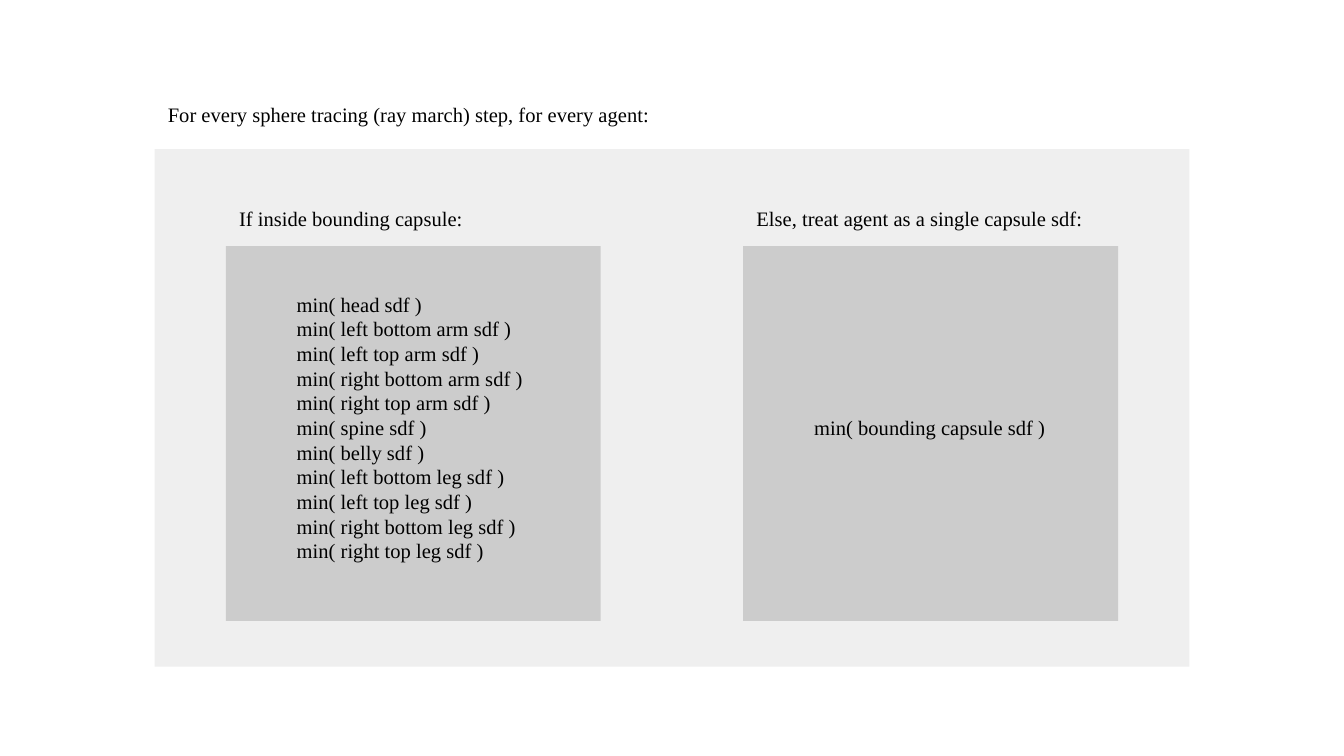
"""Build a slide on bounding capsule branching in sphere tracing."""
from pptx import Presentation
from pptx.dml.color import RGBColor
from pptx.enum.shapes import MSO_SHAPE
from pptx.enum.text import MSO_ANCHOR
from pptx.util import Pt

RECTANGLE = MSO_SHAPE.RECTANGLE
TOP, MIDDLE = MSO_ANCHOR.TOP, MSO_ANCHOR.MIDDLE
BLACK = RGBColor(0x00, 0x00, 0x00)
PANEL_GREY = RGBColor(0xEF, 0xEF, 0xEF)
CARD_GREY = RGBColor(0xCC, 0xCC, 0xCC)

HEADING = "For every sphere tracing (ray march) step, for every agent:"
BRANCHES = [
    {
        "caption": "If inside bounding capsule:",
        "caption_width": 135.4,
        "steps": [
            "min( head sdf )",
            "min( left bottom arm sdf )",
            "min( left top arm sdf )",
            "min( right bottom arm sdf )",
            "min( right top arm sdf )",
            "min( spine sdf )",
            "min( belly sdf )",
            "min( left bottom leg sdf )",
            "min( left top leg sdf )",
            "min( right bottom leg sdf )",
            "min( right top leg sdf )",
        ],
    },
    {
        "caption": "Else, treat agent as a single capsule sdf:",
        "caption_width": 200.9,
        "steps": ["min( bounding capsule sdf )"],
    },
]

FONT = {"name": "Times New Roman", "size": Pt(11)}
INSET = Pt(7.2)
FRAME = {
    "word_wrap": True,
    "margin_left": INSET,
    "margin_right": INSET,
    "margin_top": INSET,
    "margin_bottom": INSET,
}
PANEL_LEFT, PANEL_TOP, PANEL_SIZE = 82.8, 79.9, 277.2
CARD_SIZE, CARD_TOP = 200.9, 131.8
CARD_INDENT = (PANEL_SIZE - CARD_SIZE) / 2
STEPS_WIDTH, STEPS_TOP, STEPS_HEIGHT = 139, 149, 160
STEPS_INDENT = (CARD_SIZE - STEPS_WIDTH) / 2
HEADING_TOP, CAPTION_TOP, LABEL_HEIGHT = 48.2, 103.7, 37.4


def add_square(shapes, left, top, size, colour):
    square = shapes.add_shape(RECTANGLE, Pt(left), Pt(top), Pt(size), Pt(size))
    square.shadow.inherit = False
    square.fill.solid()
    square.fill.fore_color.rgb = colour
    square.line.fill.background()


def add_text(shapes, lines, left, top, width, height, anchor=TOP):
    box = shapes.add_textbox(Pt(left), Pt(top), Pt(width), Pt(height))
    frame = box.text_frame
    for name, value in FRAME.items():
        setattr(frame, name, value)
    frame.vertical_anchor = anchor
    frame.text = "\n".join(lines)
    for para in frame.paragraphs:
        for span in para.runs:
            for name, value in FONT.items():
                setattr(span.font, name, value)
            span.font.color.rgb = BLACK


def main():
    deck = Presentation()
    deck.slide_width, deck.slide_height = Pt(720), Pt(405)
    page = deck.slides.add_slide(deck.slide_layouts[6])
    shapes = page.shapes.add_group_shape().shapes
    add_text(shapes, [HEADING], PANEL_LEFT, HEADING_TOP, PANEL_SIZE, LABEL_HEIGHT)
    for column, branch in enumerate(BRANCHES):
        panel_left = PANEL_LEFT + column * PANEL_SIZE
        card_left = panel_left + CARD_INDENT
        add_square(shapes, panel_left, PANEL_TOP, PANEL_SIZE, PANEL_GREY)
        add_square(shapes, card_left, CARD_TOP, CARD_SIZE, CARD_GREY)
        add_text(shapes, [branch["caption"]], card_left, CAPTION_TOP,
                 branch["caption_width"], LABEL_HEIGHT)
        add_text(shapes, branch["steps"], card_left + STEPS_INDENT, STEPS_TOP,
                 STEPS_WIDTH, STEPS_HEIGHT, MIDDLE)
    deck.save("out.pptx")


if __name__ == "__main__":
    main()
